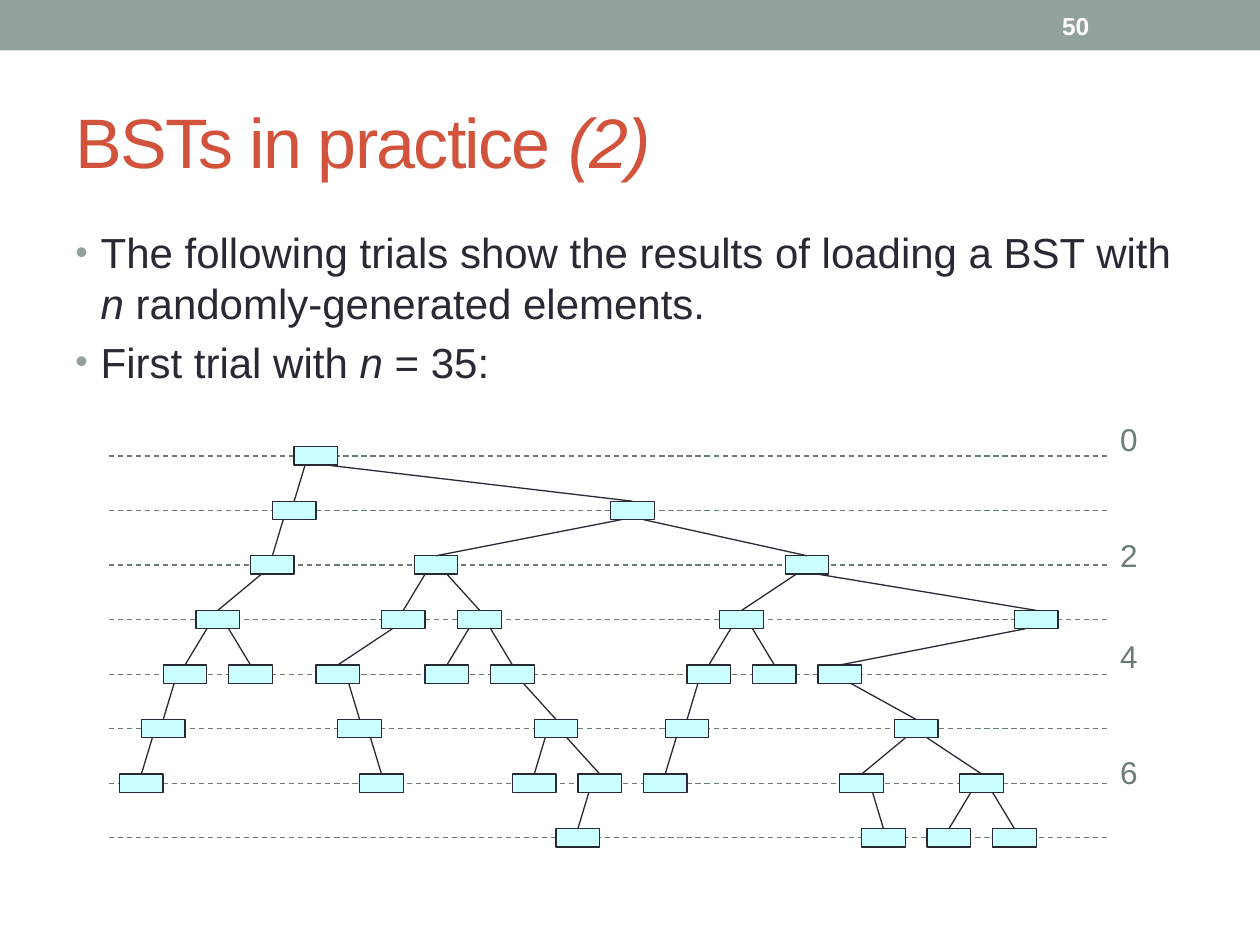
from dataclasses import dataclass

from lxml import etree
from pptx import Presentation
from pptx import util as u
from pptx.dml.color import RGBColor
from pptx.enum import dml, shapes, text
from pptx.oxml.ns import qn


@dataclass(frozen=True)
class Theme:
    """Colours, font and type sizes of the slide."""
    bar: str = "93A299"
    title: str = "D2533C"
    ink: str = "292934"
    level: str = "6B7D72"
    node: str = "CCFFFF"
    white: str = "FFFFFF"
    font: str = "Arial"
    title_size: float = 40
    body_size: float = 24
    label_size: float = 18
    number_size: float = 14
    line_width: float = 0.75


THEME = Theme()

# Tree geometry in centimetres; node columns are counted in steps of COLUMN.
COLUMN = 0.22
LEVEL = 1.1
NODE_WIDTH = 4 * COLUMN
NODE_HEIGHT = 0.37
LAST_LEVEL = 7
LABEL_TOPS = {0: -0.73, 2: 1.61, 4: 3.66, 6: 6.0}

# Each node is (column, child, child).
TREE = (16,
        (14, (12, (7, (4, (2, (0,))), (10,)))),
        (45,
         (27,
          (24, (18, (20, (22,)))),
          (31, (28,), (34, (38, (36,), (42, (40,)))))),
         (61,
          (55, (52, (50, (48,))), (58,)),
          (82, (64, (71, (66, (68,)), (77, (74,), (80,))))))))


def cm(*lengths):
    """Turn numbers into centimetre lengths."""
    return [u.Cm(length) for length in lengths]


def add_span(para, words, size, color, bold=False, italic=False, spacing=None):
    """Add a formatted run of text to a paragraph."""
    span = para.add_run()
    span.text = words
    font = span.font
    font.name, font.size = THEME.font, u.Pt(size)
    font.bold, font.italic = bold, italic
    font.color.rgb = RGBColor.from_string(color)
    if spacing is not None:
        span.font._element.set("spc", str(round(spacing * 100)))


def add_text(page, box, paras, anchor=text.MSO_ANCHOR.TOP, inset=None, **style):
    """Add a text box; odd spans of each paragraph are italic."""
    frame = page.shapes.add_textbox(*cm(*box)).text_frame
    frame.word_wrap = True
    frame.vertical_anchor = anchor
    if inset is not None:
        frame.margin_left = frame.margin_right = u.Cm(inset)
        frame.margin_top = frame.margin_bottom = u.Cm(inset)
    for index, spans in enumerate(paras):
        para = frame.add_paragraph() if index else frame.paragraphs[0]
        for order, words in enumerate(spans):
            add_span(para, words, italic=order % 2 == 1, **style)
    return frame


def add_bullet(para, color):
    """Give a paragraph a hanging round bullet."""
    props = para._p.get_or_add_pPr()
    props.set("marL", str(u.Cm(0.51)))
    props.set("indent", str(-u.Cm(0.51)))
    tint = etree.SubElement(props, qn("a:buClr"))
    etree.SubElement(tint, qn("a:srgbClr")).set("val", color)
    etree.SubElement(props, qn("a:buSzPct")).set("val", "85000")
    etree.SubElement(props, qn("a:buFont")).set("typeface", THEME.font)
    etree.SubElement(props, qn("a:buChar")).set("char", "•")


def add_box(page, box, fill, line=None):
    """Add a plain rectangle."""
    shape = page.shapes.add_shape(shapes.MSO_SHAPE.RECTANGLE, *cm(*box))
    shape.shadow.inherit = False
    shape.fill.solid()
    shape.fill.fore_color.rgb = RGBColor.from_string(fill)
    if line:
        shape.line.color.rgb = RGBColor.from_string(line)
        shape.line.width = u.Pt(THEME.line_width)
    else:
        shape.line.fill.background()


def add_line(page, start, end, color, dash=None):
    """Add a thin straight line without shadow."""
    line = page.shapes.add_connector(
        shapes.MSO_CONNECTOR.STRAIGHT, *cm(*start, *end))
    line.line.color.rgb = RGBColor.from_string(color)
    line.line.width = u.Pt(THEME.line_width)
    if dash:
        line.line.dash_style = dash
    etree.SubElement(line._element.spPr, qn("a:effectLst"))


def draw_header(page, box, number):
    """Draw the top bar with the slide number near its right end."""
    left, top, width, height = box
    add_box(page, box, THEME.bar)
    add_text(page, (left + width - 4.24, top + 0.05, 2.97, height - 0.1),
             [[number]], anchor=text.MSO_ANCHOR.MIDDLE,
             size=THEME.number_size, color=THEME.white, bold=True)


def draw_title(page, box, spans):
    """Draw the slide title."""
    add_text(page, box, [spans], anchor=text.MSO_ANCHOR.MIDDLE,
             size=THEME.title_size, color=THEME.title, spacing=-1)


def draw_body(page, box, paras):
    """Draw the bulleted text."""
    frame = add_text(page, box, paras, size=THEME.body_size, color=THEME.ink)
    for para in frame.paragraphs:
        para.space_before = u.Pt(0.2 * THEME.body_size)
        add_bullet(para, THEME.bar)


def draw_levels(page, box):
    """Draw the dashed level lines and their numbers."""
    left, top, width, _ = box
    for level in range(LAST_LEVEL + 1):
        y = top + level * LEVEL
        add_line(page, (left, y), (left + width, y), THEME.level,
                 dml.MSO_LINE.DASH)
    for level, offset in LABEL_TOPS.items():
        add_text(page, (left + width + 0.2, top + offset, 0.48, 1.32),
                 [[str(level)]], inset=0,
                 size=THEME.label_size, color=THEME.level)


def draw_node(page, box, node, depth=0):
    """Draw a node, its links and all nodes below it."""
    column, *children = node
    left, top = box[:2]
    x = left + (column + 1) * COLUMN
    y = top + depth * LEVEL
    add_box(page, (x, y - NODE_HEIGHT / 2, NODE_WIDTH, NODE_HEIGHT),
            THEME.node, THEME.ink)
    middle = x + NODE_WIDTH / 2
    for child in children:
        shift = child[0] - column
        side = COLUMN if shift > 0 else -COLUMN
        draw_node(page, box, child, depth + 1)
        add_line(page, (middle + side, y + NODE_HEIGHT / 2),
                 (middle + shift * COLUMN, y + LEVEL - NODE_HEIGHT / 2),
                 THEME.ink)


def draw_tree(page, box):
    """Draw the search tree on its level lines."""
    draw_levels(page, box)
    draw_node(page, box, TREE)


def main():
    """Build and save the slide."""
    deck = Presentation()
    deck.slide_width, deck.slide_height = cm(25.4, 19.05)
    page = deck.slides.add_slide(deck.slide_layouts[6])
    draw_header(page, (0, 0, 25.4, 1.02), "50")
    draw_title(page, (1.27, 1.47, 22.86, 2.74), ["BSTs in practice ", "(2)"])
    draw_body(page, (1.27, 4.45, 22.86, 13.54), [
        ["The following trials show the results of loading a BST with ",
         "n", " randomly-generated elements."],
        ["First trial with ", "n", " = 35:"],
    ])
    draw_tree(page, (2.19, 9.19, 20.19, LAST_LEVEL * LEVEL))
    deck.save("out.pptx")


main()
